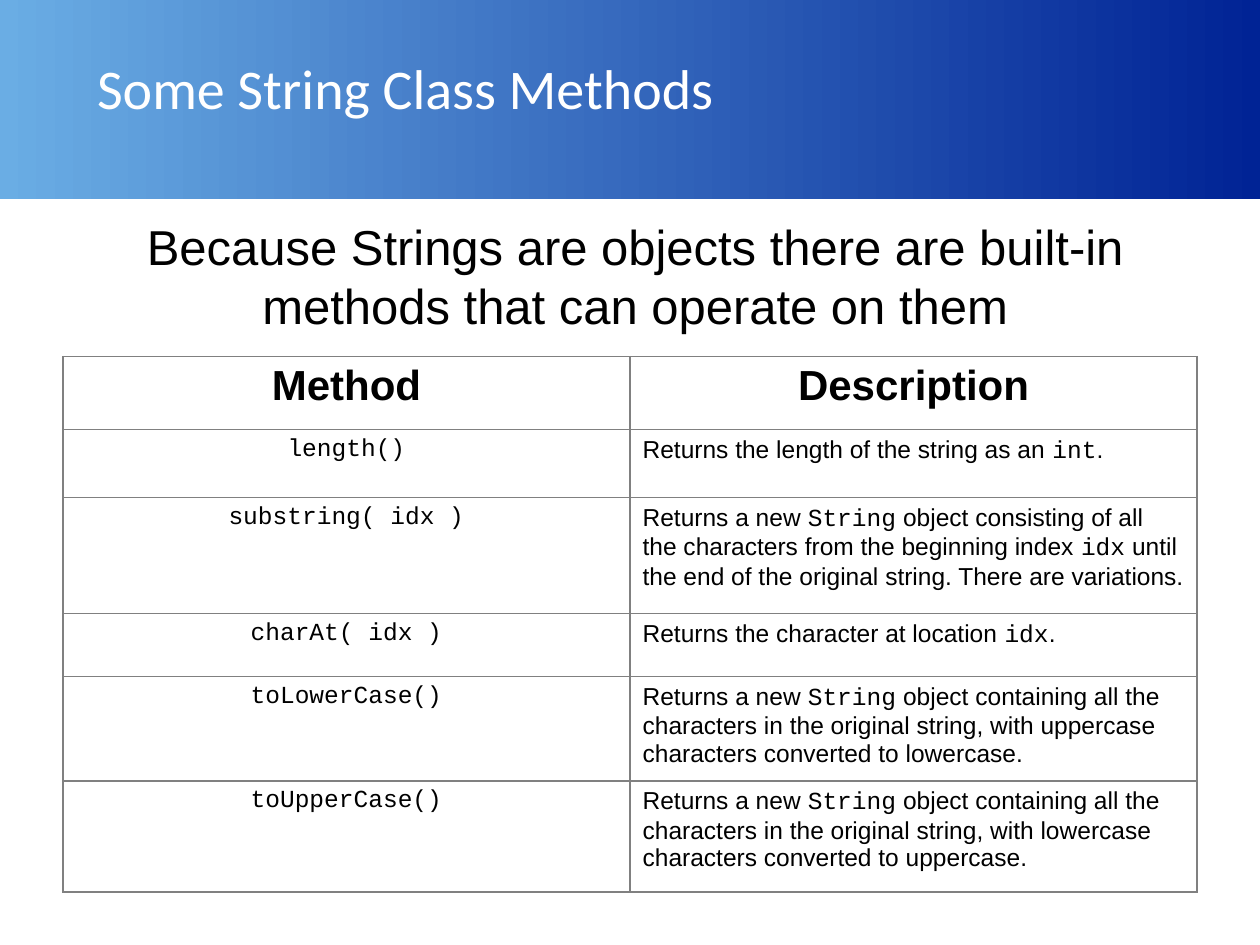
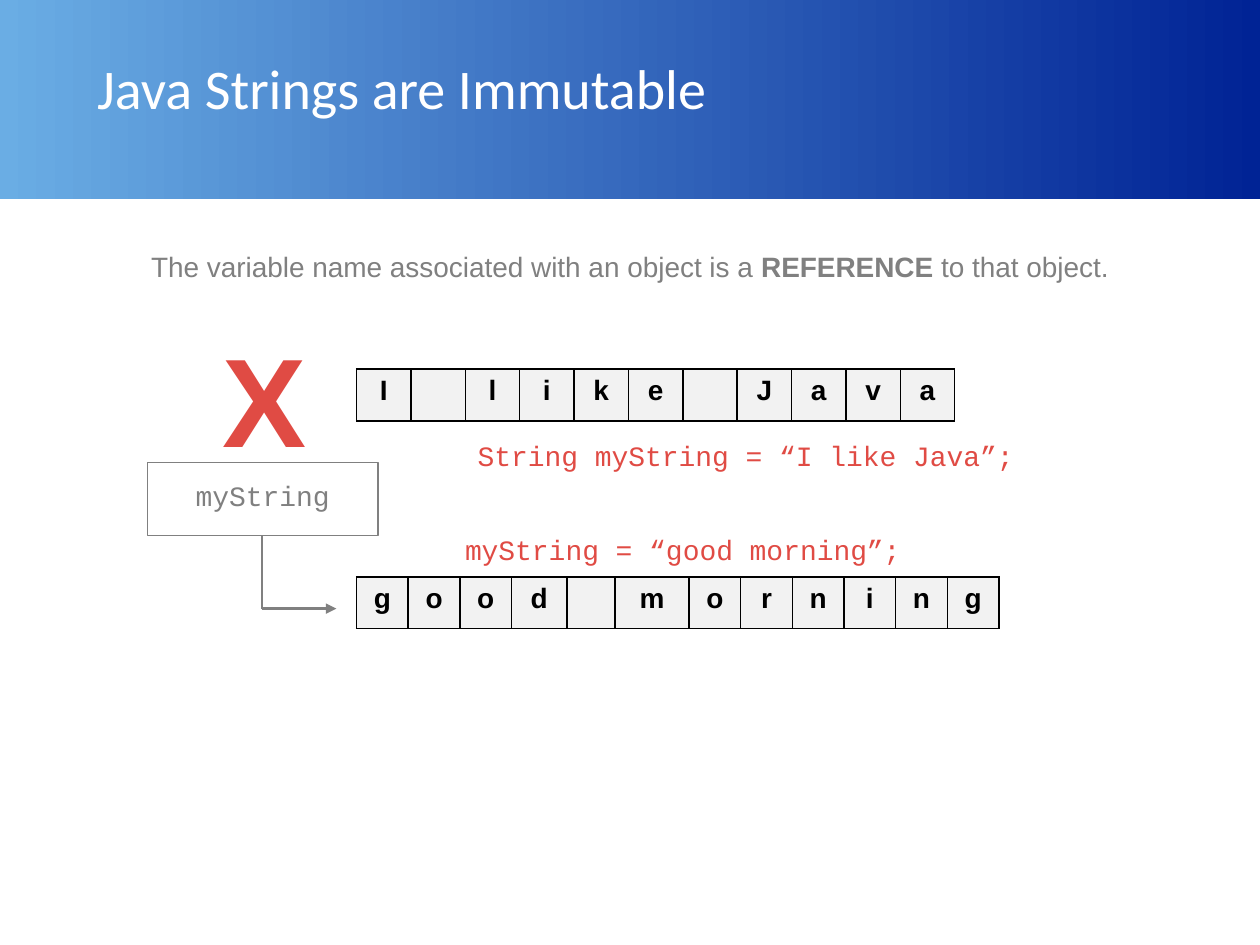
from dataclasses import dataclass, replace

from lxml import etree
from pptx import Presentation
from pptx.dml.color import RGBColor
from pptx.enum import shapes, text
from pptx.oxml import ns
from pptx.util import Inches, Pt

BLACK = RGBColor(0x00, 0x00, 0x00)
WHITE = RGBColor(0xFF, 0xFF, 0xFF)
GRAY = RGBColor(0x80, 0x80, 0x80)
RED = RGBColor(0xE0, 0x4B, 0x44)
CELL_GRAY = RGBColor(0xF2, 0xF2, 0xF2)
BAND_LIGHT = RGBColor(0x6A, 0xAD, 0xE4)
BAND_DARK = RGBColor(0x00, 0x23, 0x95)

CENTER = text.PP_ALIGN.CENTER
LEFT = text.PP_ALIGN.LEFT
MARK = "|"


@dataclass(frozen=True)
class TextStyle:
    size: float
    color: RGBColor = BLACK
    font: str = "Arial"
    bold: bool = False


@dataclass(frozen=True)
class Box:
    left: float
    top: float
    width: float
    height: float

    def inches(self):
        return [Inches(v) for v in (self.left, self.top, self.width, self.height)]


@dataclass(frozen=True)
class Method:
    call: str
    description: str
    row_height: float


@dataclass(frozen=True)
class Label:
    words: str
    box: Box
    style: TextStyle
    align: text.PP_ALIGN = CENTER


TITLE = TextStyle(32, WHITE, "Calibri")
HEADING = TextStyle(24, bold=True)
BODY = TextStyle(14)
BODY_CODE = replace(BODY, font="Courier New")
NOTE = TextStyle(16, GRAY)
NOTE_CODE = replace(NOTE, font="Courier New")
RED_CODE = replace(NOTE_CODE, color=RED)
LETTER = TextStyle(16, bold=True)

METHODS = [
    Method("length()", "Returns the length of the string as an |int|.", 0.54),
    Method("substring( idx )",
           "Returns a new |String| object consisting of all the characters from the "
           "beginning index |idx| until the end of the original string. "
           "There are variations.", 0.92),
    Method("charAt( idx )", "Returns the character at location |idx|.", 0.5),
    Method("toLowerCase()",
           "Returns a new |String| object containing all the characters in the original "
           "string, with uppercase characters converted to lowercase.", 0.83),
    Method("toUpperCase()",
           "Returns a new |String| object containing all the characters in the original "
           "string, with lowercase characters converted to uppercase.", 0.88),
]


def write(frame, words: str, style: TextStyle, align=LEFT, marked: TextStyle = None) -> None:
    """Fill a text frame; the parts between marks take the marked style."""
    paragraph = frame.paragraphs[0]
    paragraph.alignment = align
    for index, part in enumerate(words.split(MARK)):
        run_style = marked if index % 2 else style
        run = paragraph.add_run()
        run.text = part
        run.font.name = run_style.font
        run.font.size = Pt(run_style.size)
        run.font.bold = run_style.bold
        run.font.color.rgb = run_style.color


def add_label(slide, label: Label, marked: TextStyle = None) -> None:
    frame = slide.shapes.add_textbox(*label.box.inches()).text_frame
    frame.word_wrap = True
    write(frame, label.words, label.style, label.align, marked)


def add_titled_slide(presentation, title: str):
    """Add a slide with the gradient band behind its title."""
    slide = presentation.slides.add_slide(presentation.slide_layouts[5])
    band = slide.shapes.add_shape(shapes.MSO_SHAPE.RECTANGLE, *Box(0, 0, 10, 1.58).inches())
    band.shadow.inherit = False
    band.line.fill.background()
    band.fill.gradient()
    band.fill.gradient_angle = 0
    for stop, color in zip(band.fill.gradient_stops, (BAND_LIGHT, BAND_DARK)):
        stop.color.rgb = color

    holder = slide.shapes.title
    holder.element.addprevious(band.element)
    holder.left, holder.top, holder.width, holder.height = Box(0.67, 0.38, 9, 0.62).inches()
    frame = holder.text_frame
    frame.auto_size = text.MSO_AUTO_SIZE.NONE
    frame.vertical_anchor = text.MSO_ANCHOR.MIDDLE
    write(frame, title, TITLE)
    return slide


def add_borders(cell, color: RGBColor) -> None:
    properties = cell._tc.get_or_add_tcPr()
    for side in ("lnL", "lnR", "lnT", "lnB"):
        line = etree.SubElement(properties, ns.qn(f"a:{side}"), w=str(Pt(1)))
        fill = etree.SubElement(line, ns.qn("a:solidFill"))
        etree.SubElement(fill, ns.qn("a:srgbClr"), val=str(color))


def add_grid(slide, left: float, top: float, widths: list, heights: list,
             border: RGBColor, fill: RGBColor = None):
    """Add an empty bordered table, with a cell fill if one is given."""
    box = Box(left, top, sum(widths), sum(heights))
    table = slide.shapes.add_table(len(heights), len(widths), *box.inches()).table
    table.first_row = table.horz_banding = False
    for column, width in zip(table.columns, widths):
        column.width = Inches(width)
    for row, height in zip(table.rows, heights):
        row.height = Inches(height)
    for cell in table.iter_cells():
        add_borders(cell, border)
        if fill is None:
            cell.fill.background()
        else:
            cell.fill.solid()
            cell.fill.fore_color.rgb = fill
    return table


def add_letter_cells(slide, phrase: str, top: float, widths: list) -> None:
    """Show a string as one cell per character, blank for a space."""
    table = add_grid(slide, 2.83, top, widths, [0.41], BLACK, CELL_GRAY)
    for cell, letter in zip(table.iter_cells(), phrase):
        if letter != " ":
            write(cell.text_frame, letter, LETTER, CENTER)


def add_line(slide, start: tuple, end: tuple, arrow: bool = False) -> None:
    points = [Inches(v) for v in (*start, *end)]
    line = slide.shapes.add_connector(shapes.MSO_CONNECTOR.STRAIGHT, *points)
    line.line.color.rgb = GRAY
    line.line.width = Pt(1.5)
    if arrow:
        etree.SubElement(line.line._get_or_add_ln(), ns.qn("a:tailEnd"), type="triangle")
    etree.SubElement(line.element.spPr, ns.qn("a:effectLst"))


def build_methods_slide(presentation) -> None:
    slide = add_titled_slide(presentation, "Some String Class Methods")
    heights = [0.58] + [method.row_height for method in METHODS]
    table = add_grid(slide, 0.5, 2.83, [4.5, 4.5], heights, GRAY)
    for column, heading in enumerate(("Method", "Description")):
        write(table.cell(0, column).text_frame, heading, HEADING, CENTER)
    for row, method in enumerate(METHODS, start=1):
        write(table.cell(row, 0).text_frame, method.call, BODY_CODE, CENTER)
        write(table.cell(row, 1).text_frame, method.description, BODY, marked=BODY_CODE)
    add_label(slide, Label(
        "Because Strings are objects there are built-in methods that can operate on them",
        Box(0.58, 1.67, 8.92, 1.04), TextStyle(28)))


def build_immutable_slide(presentation) -> None:
    slide = add_titled_slide(presentation, "Java Strings are Immutable")
    variable = slide.shapes.add_shape(
        shapes.MSO_SHAPE.RECTANGLE, *Box(1.17, 3.67, 1.83, 0.58).inches())
    variable.shadow.inherit = False
    variable.fill.background()
    variable.line.color.rgb = GRAY
    variable.line.width = Pt(0.75)

    labels = [
        Label("The variable name associated with an object is a |REFERENCE| to that object.",
              Box(0.5, 1.93, 9, 0.37), NOTE),
        Label("String myString = “I like Java”;", Box(3.17, 3.43, 5.5, 0.37), RED_CODE),
        Label("myString", Box(1.25, 3.75, 1.67, 0.4), NOTE_CODE),
        Label("myString = “good morning”;", Box(3.17, 4.18, 4.5, 0.37), RED_CODE),
        Label("X", Box(1.67, 2.5, 0.75, 1.3), TextStyle(72, RED, bold=True), LEFT),
    ]
    for label in labels:
        add_label(slide, label, replace(label.style, bold=True))

    corner = (2.08, 4.83)
    add_line(slide, (2.08, 4.25), corner)
    add_line(slide, corner, (2.67, 4.83), arrow=True)

    first, second = "I like Java", "good morning"
    add_letter_cells(slide, first, 2.93, [4.75 / len(first)] * len(first))
    special_widths = {"d": 0.44, " ": 0.38, "m": 0.59}
    add_letter_cells(slide, second, 4.58,
                     [special_widths.get(letter, 0.41) for letter in second])


def main() -> None:
    presentation = Presentation()
    presentation.slide_width = Inches(10)
    presentation.slide_height = Inches(7.5)
    build_methods_slide(presentation)
    build_immutable_slide(presentation)
    presentation.save("out.pptx")


if __name__ == "__main__":
    main()
